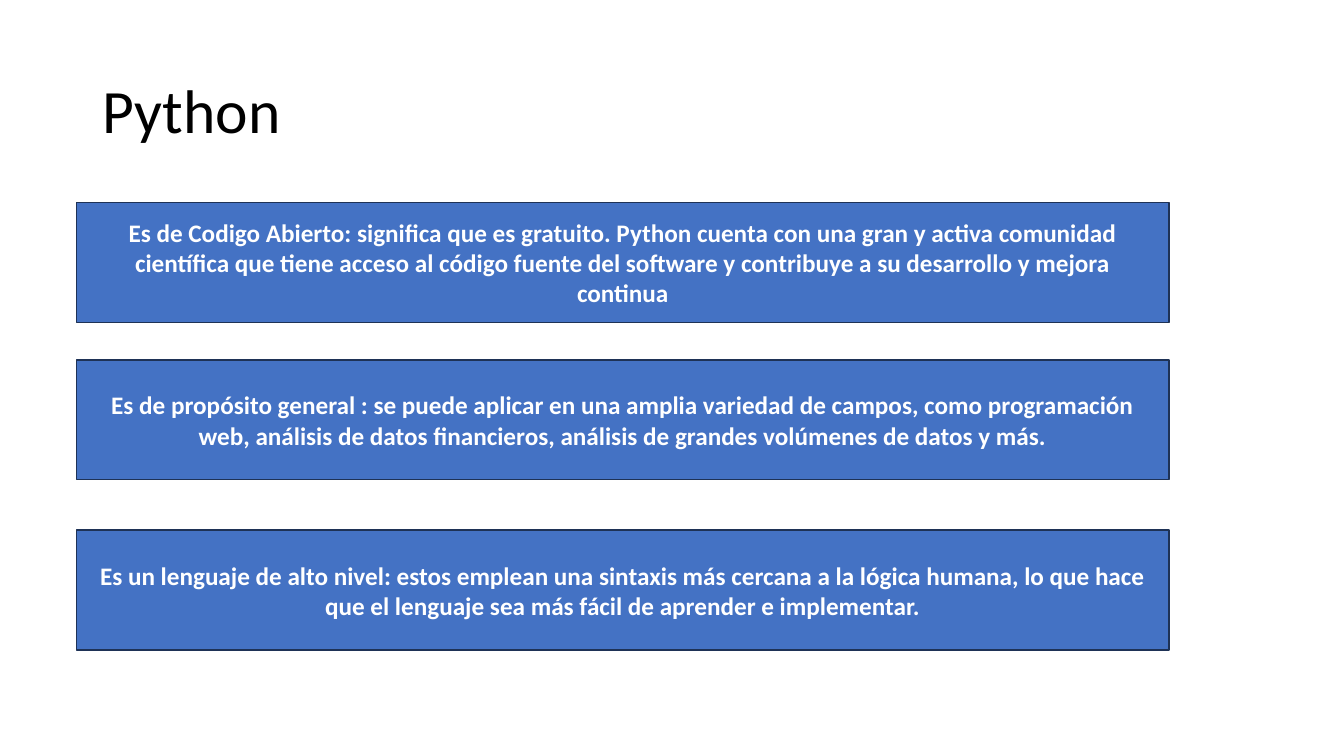
"""Build a slide with three key traits of Python."""
from pptx import Presentation
from pptx import util as u
from pptx.dml.color import RGBColor
from pptx.enum import shapes, text

COLORS = {"title": "000000", "box": "4472C4", "border": "1E3256", "text": "FFFFFF"}
TRAITS = [
    (5.11, "Es de Codigo Abierto: significa que es gratuito. Python cuenta con una gran y "
           "activa comunidad científica que tiene acceso al código fuente del software y "
           "contribuye a su desarrollo y mejora continua"),
    (9.07, "Es de propósito general : se puede aplicar en una amplia variedad de campos, "
           "como programación web, análisis de datos financieros, análisis de grandes "
           "volúmenes de datos y más."),
    (13.36, "Es un lenguaje de alto nivel: estos emplean una sintaxis más cercana a la "
            "lógica humana, lo que hace que el lenguaje sea más fácil de aprender e "
            "implementar."),
]


def color(name):
    return RGBColor.from_string(COLORS[name])


prs = Presentation()
prs.slide_width, prs.slide_height = u.Cm(33.87), u.Cm(19.05)
s = prs.slides.add_slide(prs.slide_layouts[5])

title = s.shapes.title
title.left, title.top = u.Cm(2.33), u.Cm(1.01)
title.width, title.height = u.Cm(29.21), u.Cm(3.68)
tf = title.text_frame
tf.text = "Python"
tf.vertical_anchor = text.MSO_ANCHOR.MIDDLE
p = tf.paragraphs[0]
p.alignment = text.PP_ALIGN.LEFT
p.line_spacing = 0.9
p.font.name = "Calibri"
p.font.size = u.Pt(44)
p.font.color.rgb = color("title")

for top, trait in TRAITS:
    sp = s.shapes.add_shape(shapes.MSO_SHAPE.RECTANGLE,
                            u.Cm(1.93), u.Cm(top), u.Cm(27.53), u.Cm(3.02))
    sp.shadow.inherit = False
    sp.fill.solid()
    sp.fill.fore_color.rgb = color("box")
    sp.line.color.rgb = color("border")
    sp.line.width = u.Pt(1)
    tf = sp.text_frame
    tf.word_wrap = True
    tf.vertical_anchor = text.MSO_ANCHOR.MIDDLE
    tf.text = trait
    p = tf.paragraphs[0]
    p.alignment = text.PP_ALIGN.CENTER
    p.font.name = "Calibri"
    p.font.size = u.Pt(18)
    p.font.bold = True
    p.font.color.rgb = color("text")

prs.save("out.pptx")
